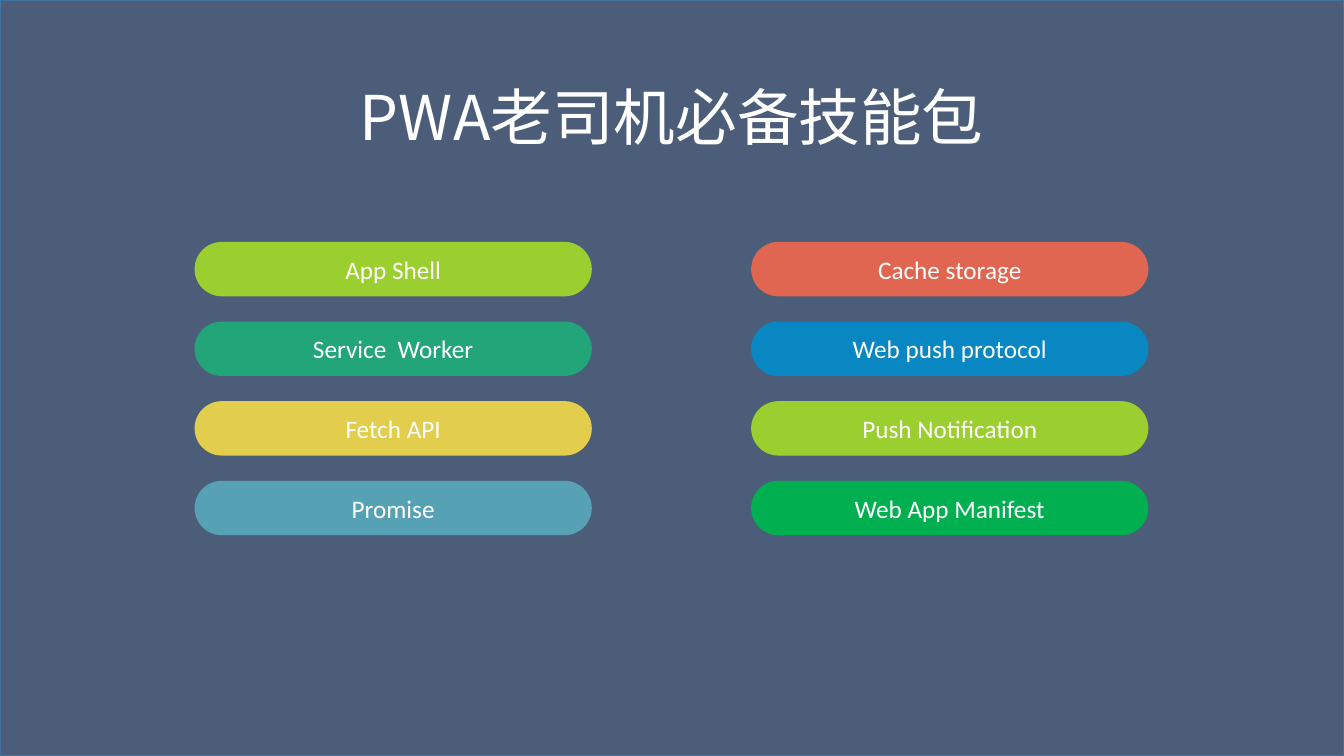
from lxml import etree
from pptx import Presentation
from pptx.dml.color import RGBColor
from pptx.enum.shapes import MSO_SHAPE
from pptx.enum.text import MSO_ANCHOR, MSO_AUTO_SIZE, PP_ALIGN
from pptx.oxml.ns import qn
from pptx.util import Inches, Pt

RECTANGLE = MSO_SHAPE.RECTANGLE
PILL = MSO_SHAPE.ROUNDED_RECTANGLE
MIDDLE = MSO_ANCHOR.MIDDLE
GROW = MSO_AUTO_SIZE.SHAPE_TO_FIT_TEXT
CENTER = PP_ALIGN.CENTER

WHITE = RGBColor(0xFF, 0xFF, 0xFF)
SLATE = RGBColor(0x4C, 0x5D, 0x79)
BORDER_BLUE = RGBColor(0x43, 0x73, 0x9E)
LIME = RGBColor(0x9B, 0xCF, 0x2F)
TEAL = RGBColor(0x23, 0xA5, 0x7A)
YELLOW = RGBColor(0xE2, 0xCD, 0x4D)
STEEL = RGBColor(0x56, 0xA1, 0xB3)
CORAL = RGBColor(0xE0, 0x66, 0x51)
BLUE = RGBColor(0x09, 0x87, 0xC2)
GREEN = RGBColor(0x00, 0xB0, 0x50)

SKILL_COLUMNS = [
    (1.93, [("App Shell", LIME), ("Service  Worker", TEAL),
            ("Fetch API", YELLOW), ("Promise", STEEL)]),
    (7.45, [("Cache storage", CORAL), ("Web push protocol", BLUE),
            ("Push Notification", LIME), ("Web App Manifest", GREEN)]),
]
FIRST_ROW_TOP = 2.4
ROW_PITCH = 0.79


class SkillSlide:
    body_font = "Calibri"
    title_font = "Noto Sans CJK SC"

    def __init__(self, slide):
        self.slide = slide

    def add_filled(self, kind, left, top, width, height, color):
        shape = self.slide.shapes.add_shape(
            kind, Inches(left), Inches(top), Inches(width), Inches(height))
        shape.shadow.inherit = False
        shape.fill.solid()
        shape.fill.fore_color.rgb = color
        shape.line.fill.background()
        return shape

    def set_text(self, text_frame, text, font_name, size):
        text_frame.word_wrap = True
        paragraph = text_frame.paragraphs[0]
        paragraph.text = text
        paragraph.alignment = CENTER
        paragraph.font.name = font_name
        paragraph.font.size = Pt(size)
        paragraph.font.color.rgb = WHITE
        properties = paragraph._p.find(".//" + qn("a:defRPr"))
        etree.SubElement(properties, qn("a:ea"), typeface=font_name)

    def add_backdrop(self, width, height):
        backdrop = self.add_filled(RECTANGLE, 0, 0, width, height, SLATE)
        backdrop.line.color.rgb = BORDER_BLUE
        backdrop.line.width = Pt(1)

    def add_pill(self, left, top, text, color):
        pill = self.add_filled(PILL, left, top, 3.94, 0.54, color)
        pill.adjustments[0] = 0.5
        pill.text_frame.vertical_anchor = MIDDLE
        self.set_text(pill.text_frame, text, self.body_font, 18)

    def add_title(self, text):
        title = self.slide.shapes.add_textbox(
            Inches(1.68), Inches(0.73), Inches(9.97), Inches(0.84))
        self.set_text(title.text_frame, text, self.title_font, 44)
        title.text_frame.auto_size = GROW


def main():
    presentation = Presentation()
    presentation.slide_width = Inches(13.33)
    presentation.slide_height = Inches(7.5)
    skills = SkillSlide(
        presentation.slides.add_slide(presentation.slide_layouts[6]))
    skills.add_backdrop(13.33, 7.5)
    for left, column in SKILL_COLUMNS:
        for row, (text, color) in enumerate(column):
            skills.add_pill(left, FIRST_ROW_TOP + row * ROW_PITCH, text, color)
    skills.add_title("PWA老司机必备技能包")
    presentation.save("out.pptx")


if __name__ == "__main__":
    main()
